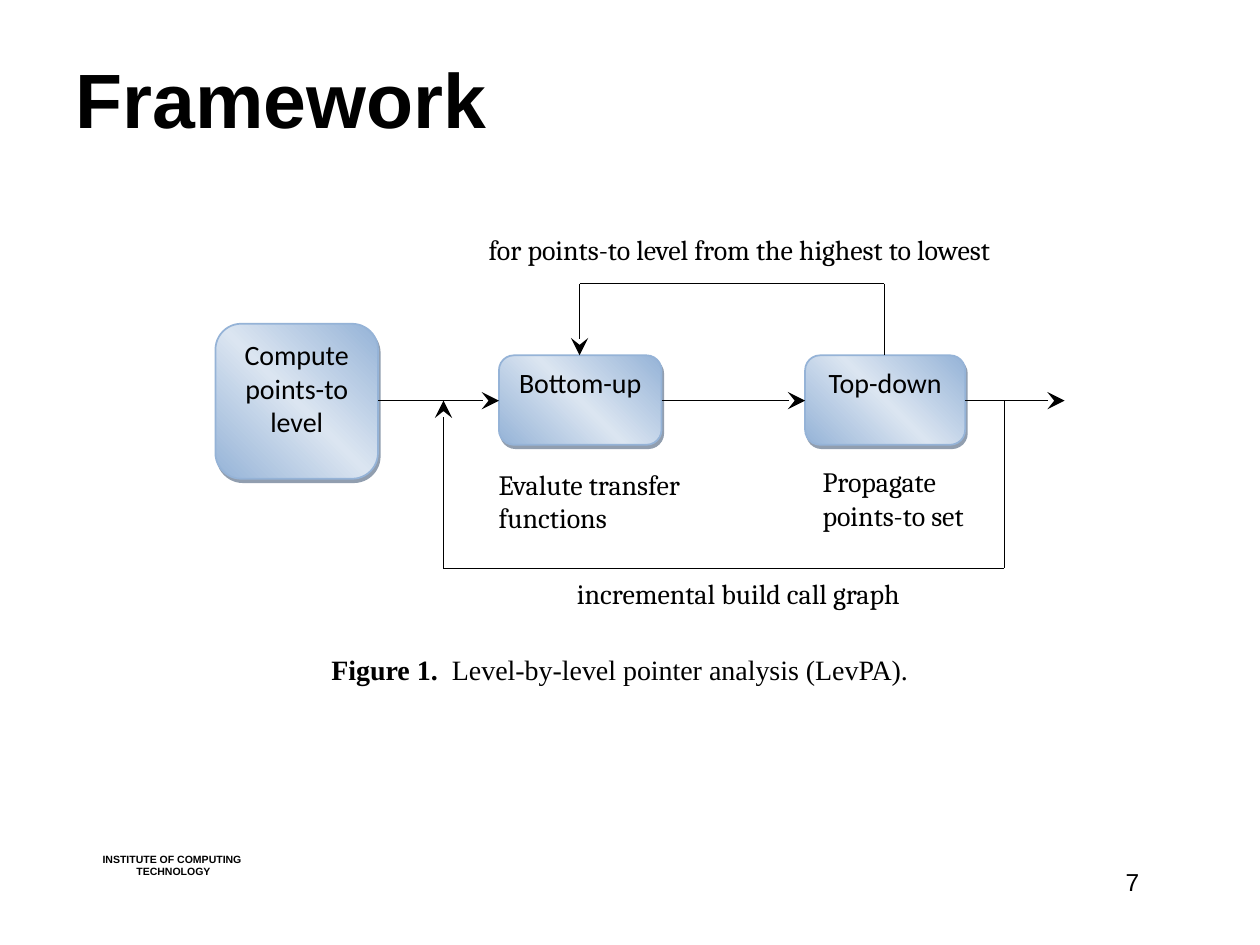
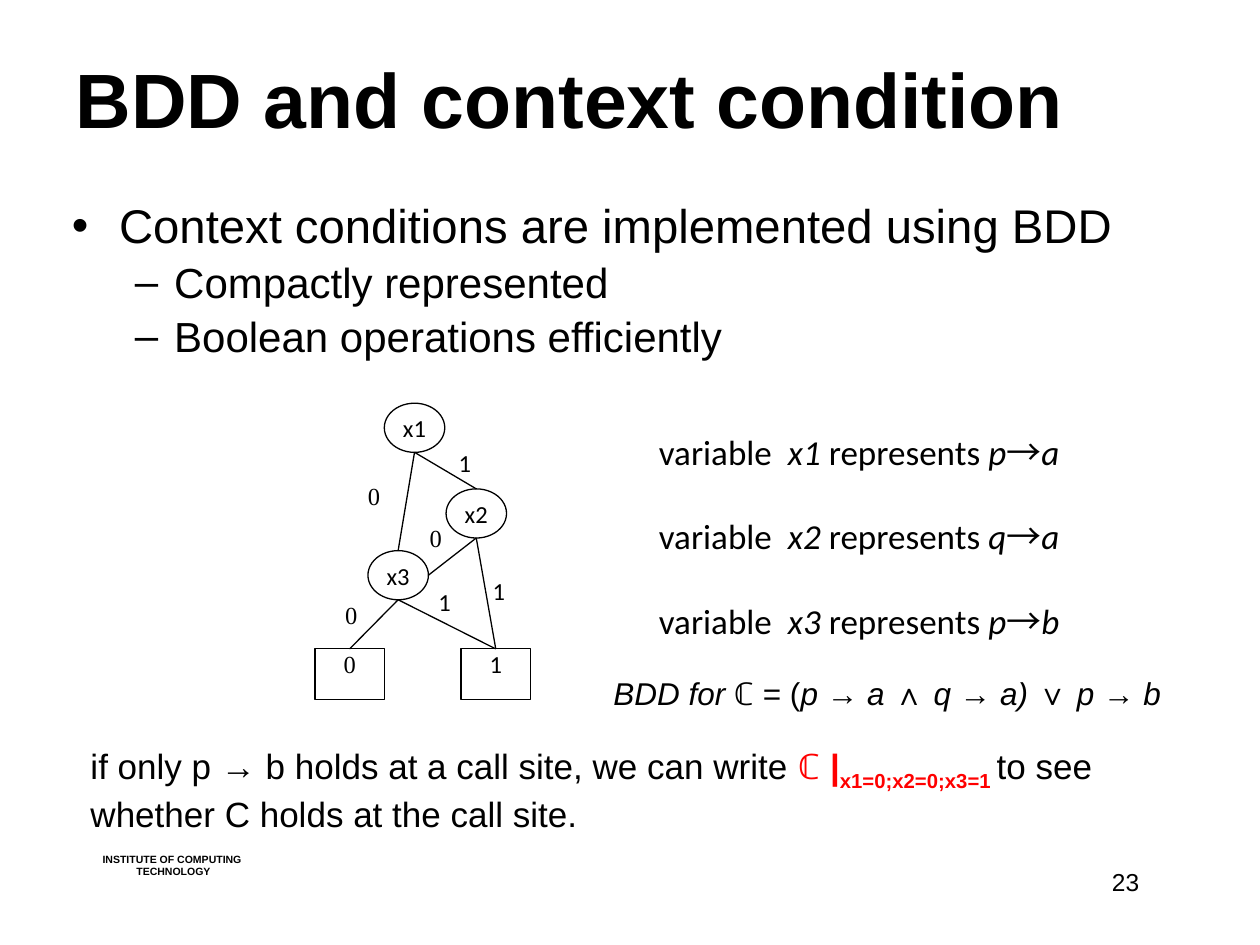
from copy import deepcopy

from lxml import etree
from pptx import Presentation
from pptx.dml.color import RGBColor
from pptx.enum import shapes, text
from pptx.oxml import ns
from pptx.util import Inches, Pt

BLACK = RGBColor(0x00, 0x00, 0x00)
WHITE = RGBColor(0xFF, 0xFF, 0xFF)
RED = RGBColor(0xFF, 0x00, 0x00)
BLUE = RGBColor(0x95, 0xB3, 0xD7)
PALE_BLUE = RGBColor(0xDB, 0xE5, 0xF1)
SHADOW = RGBColor(0x24, 0x3F, 0x60)

SANS, LABEL, CAPTION, SERIF = "Arial", "Calibri", "Cambria", "Times New Roman"
SYMBOL = "Noto Sans CJK SC"
LEFT, CENTER, RIGHT, JUSTIFY = (
    text.PP_ALIGN.LEFT, text.PP_ALIGN.CENTER, text.PP_ALIGN.RIGHT, text.PP_ALIGN.JUSTIFY)
SHAPE = shapes.MSO_SHAPE
THIN = 0.75


def add_element(parent, tag, **attributes):
    """Append a DrawingML element to parent and return it."""
    element = etree.SubElement(parent, ns.qn(tag))
    for name, value in attributes.items():
        element.set(name, str(value))
    return element


def add_span(para, words, font, size, bold=False, italic=False, colour=BLACK):
    """Add one formatted run to a paragraph."""
    span = para.add_run()
    span.text = words
    span.font.name, span.font.size = font, Pt(size)
    span.font.bold, span.font.italic = bold, italic
    span.font.color.rgb = colour
    return span


def set_insets(frame, horizontal, vertical):
    """Set the inner margins of a text frame in inches."""
    frame.margin_left = frame.margin_right = Inches(horizontal)
    frame.margin_top = frame.margin_bottom = Inches(vertical)


def place(item, left, top, width, height):
    """Move and size a shape, in inches."""
    item.left, item.top = Inches(left), Inches(top)
    item.width, item.height = Inches(width), Inches(height)


def add_text(page, area, align=LEFT, insets=(0.1, 0.05), wrap=True):
    """Add an empty text box and return its first paragraph."""
    frame = page.shapes.add_textbox(*map(Inches, area)).text_frame
    frame.word_wrap = wrap
    set_insets(frame, *insets)
    frame.paragraphs[0].alignment = align
    return frame.paragraphs[0]


def add_shape(page, kind, area, words, font, size, insets, anchor):
    """Add an outlined preset shape with centred text."""
    shape = page.shapes.add_shape(kind, *map(Inches, area))
    shape.shadow.inherit = False
    shape.fill.solid()
    shape.fill.fore_color.rgb = WHITE
    shape.line.color.rgb = BLACK
    shape.line.width = Pt(THIN)
    frame = shape.text_frame
    frame.word_wrap = True
    frame.vertical_anchor = anchor
    set_insets(frame, *insets)
    frame.paragraphs[0].alignment = CENTER
    add_span(frame.paragraphs[0], words, font, size)
    return shape


def add_stage(page, area, words):
    """Add a rounded stage box with a diagonal gradient and a hard shadow."""
    stage = add_shape(page, SHAPE.FLOWCHART_ALTERNATE_PROCESS, area, words, LABEL, 16,
                      (0, 0.05), text.MSO_ANCHOR.TOP)
    stage.line.color.rgb = BLUE
    stage.line.width = Pt(1)
    stage.fill.gradient()
    stage.fill.gradient_angle = 45
    properties = stage._element.spPr
    stop_list = properties.find(".//" + ns.qn("a:gsLst"))
    stop_list.append(deepcopy(stop_list[0]))
    colours = (BLUE, PALE_BLUE, BLUE)
    for index, (stop, colour) in enumerate(zip(stage.fill.gradient_stops, colours)):
        stop.position = index / 2
        stop.color.rgb = colour
    shadow = add_element(properties.find(ns.qn("a:effectLst")), "a:outerShdw",
                         dist=Pt(2.2), dir=63 * 60000, algn="ctr", rotWithShape=0)
    add_element(add_element(shadow, "a:srgbClr", val=SHADOW), "a:alpha", val=50000)


def add_route(page, *points, arrow=False):
    """Join points by straight lines, with an arrowhead at the last if asked."""
    for start, end in zip(points, points[1:]):
        line = page.shapes.add_connector(
            shapes.MSO_CONNECTOR.STRAIGHT, *map(Inches, start + end))
        line.line.color.rgb = BLACK
        line.line.width = Pt(THIN)
        add_element(line._element.spPr, "a:effectLst")
    if arrow:
        add_element(line.line._get_or_add_ln(), "a:tailEnd", type="stealth", w="lg", len="lg")


def add_page(deck, layout, title, number):
    """Add a slide with the shared title style, footer and number."""
    page = deck.slides.add_slide(deck.slide_layouts[layout])
    heading = page.shapes.title
    place(heading, 0.5, 0.3, 9, 0.95)
    heading.text_frame.vertical_anchor = text.MSO_ANCHOR.MIDDLE
    para = heading.text_frame.paragraphs[0]
    para.alignment = LEFT
    add_span(para, title, SANS, 44, bold=True)

    footer = add_text(page, (0.7, 6.72, 1.33, 0.3), CENTER)
    add_span(footer, "INSTITUTE OF COMPUTING", SANS, 6, bold=True)
    footer.line_spacing = 1.0
    second = page.shapes[-1].text_frame.add_paragraph()
    second.alignment = CENTER
    add_span(second, " TECHNOLOGY", SANS, 6, bold=True)
    add_span(add_text(page, (7.17, 6.83, 1.97, 0.52), RIGHT), str(number), SANS, 14)
    return page


def build_framework(deck):
    """Build the slide with the analysis loop."""
    page = add_page(deck, 5, "Framework", 7)
    for area, words in (
            ((1.71, 2.57, 1.29, 1.23), "Compute points-to level"),
            ((3.96, 2.82, 1.29, 0.71), "Bottom-up"),
            ((6.39, 2.82, 1.27, 0.71), "Top-down")):
        add_stage(page, area, words)

    flow = 3.18
    for start, end in ((3, 3.96), (5.25, 6.39), (7.66, 8.45)):
        add_route(page, (start, flow), (end, flow), arrow=True)
    add_route(page, (7.02, 2.82), (7.02, 2.25), (4.6, 2.25), (4.6, 2.82), arrow=True)
    add_route(page, (7.97, flow), (7.97, 4.51), (3.52, 4.51), (3.52, flow), arrow=True)

    for area, align, words in (
            ((3.28, 1.8, 5, 0.27), JUSTIFY, "for points-to level from the highest to lowest"),
            ((3.36, 3.66, 2.89, 0.72), LEFT, "Evalute transfer functions"),
            ((5.93, 3.64, 2.12, 0.65), JUSTIFY, "Propagate points-to set"),
            ((3.98, 4.53, 3.59, 0.31), JUSTIFY, "incremental build call graph")):
        para = add_text(page, area, align)
        para._p.get_or_add_pPr().set("marL", str(Inches(0.5)))
        add_span(para, words, CAPTION, 16)

    caption = add_text(page, (1.56, 5.23, 6.72, 0.22), CENTER, (0, 0))
    caption.line_spacing = 0.8
    caption.space_before = Pt(1)
    add_span(caption, "Figure 1.\u2002", SERIF, 16, bold=True)
    add_span(caption, "Level-by-level pointer analysis (LevPA).", SERIF, 16)


def add_bullets(page):
    """Fill the body placeholder with the list."""
    body = page.placeholders[1]
    place(body, 0.47, 1.56, 9, 1.48)
    frame = body.text_frame
    for index, (level, size, words) in enumerate((
            (0, 27, "Context conditions are implemented using BDD"),
            (1, 24, "Compactly represented "),
            (1, 24, "Boolean operations efficiently"))):
        para = frame.add_paragraph() if index else frame.paragraphs[0]
        para.level = level
        para.line_spacing = 0.9
        add_span(para, words, SANS, size)


def add_decision_diagram(page):
    """Draw the BDD: edges, nodes, leaves and edge labels."""
    width, height = 0.48, 0.39
    nodes = {"x1": (3.05, 3.2), "x2": (3.54, 3.88), "x3": (2.92, 4.37)}
    leaves = {"0": (2.5, SERIF), "1": (3.66, LABEL)}
    leaf_top, leaf_width = 5.15, 0.55
    for name, (left, top) in nodes.items():
        add_shape(page, SHAPE.OVAL, (left, top, width, height), name, LABEL, 14,
                  (0, 0), text.MSO_ANCHOR.MIDDLE)
    for name, (left, font) in leaves.items():
        add_shape(page, SHAPE.RECTANGLE, (left, leaf_top, leaf_width, 0.4), name, font, 14,
                  (0, 0), text.MSO_ANCHOR.TOP)

    tops = {name: (left + width / 2, top) for name, (left, top) in nodes.items()}
    for name, (left, font) in leaves.items():
        tops[name] = (left + leaf_width / 2, leaf_top)
    right_of_x3 = (nodes["x3"][0] + width, nodes["x3"][1] + height / 2)
    for parent, end in (("x1", tops["x2"]), ("x1", tops["x3"]), ("x2", right_of_x3),
                        ("x2", tops["1"]), ("x3", tops["0"]), ("x3", tops["1"])):
        across, down = tops[parent]
        add_route(page, (across, down + height), end)

    for words, area in (
            ("0", (2.92, 3.82, 0.37, 0.33)), ("1", (3.64, 3.56, 0.48, 0.26)),
            ("0", (3.41, 4.15, 0.38, 0.26)), ("1", (3.91, 4.57, 0.31, 0.36)),
            ("1", (3.48, 4.66, 0.43, 0.27)), ("0", (2.74, 4.76, 0.5, 0.4))):
        add_span(add_text(page, area, JUSTIFY, (0, 0)), words, leaves[words][1], 14)


def add_variables(page):
    """List what each variable of the diagram stands for."""
    first = add_text(page, (5.23, 3.42, 3.67, 1.78), JUSTIFY, (0, 0))
    frame = page.shapes[-1].text_frame
    for index, (name, source, target) in enumerate((
            ("x1", "p", "a"), ("x2", "q", "a"), ("x3", "p", "b"))):
        para = frame.add_paragraph() if index else first
        para.alignment = JUSTIFY
        para.line_spacing = Pt(24)
        para.space_before = Pt(24 if index else 0)
        add_span(para, "variable  ", LABEL, 20)
        add_span(para, name, LABEL, 20, italic=True)
        add_span(para, " represents ", LABEL, 20)
        add_span(para, source, LABEL, 20, italic=True)
        arrow = add_span(para, "→", SYMBOL, 20)
        add_element(arrow._r.get_or_add_rPr(), "a:ea", typeface=SYMBOL)
        add_span(para, target, LABEL, 20, italic=True)


def build_conditions(deck):
    """Build the slide on context conditions."""
    page = add_page(deck, 1, "BDD and context condition", 23)
    add_bullets(page)
    add_decision_diagram(page)
    add_variables(page)

    formula = add_text(page, (4.77, 5.3, 4.58, 0.4), wrap=False)
    add_span(formula, "BDD for ", SANS, 18, italic=True)
    add_span(formula, "ℂ = (", SANS, 18)
    add_span(formula, "p → a ∧ q → a) ∨ p → b", SANS, 18, italic=True)

    remark = add_text(page, (0.62, 5.88, 9.14, 0.77))
    page.shapes[-1].text_frame.vertical_anchor = text.MSO_ANCHOR.MIDDLE
    add_span(remark, "if only p → b holds at a call site, we can write ", SANS, 20)
    add_span(remark, "ℂ |", SANS, 20, bold=True, colour=RED)
    index = add_span(remark, "x1=0;x2=0;x3=1 ", SANS, 20, bold=True, colour=RED)
    index._r.get_or_add_rPr().set("baseline", "-25000")
    add_span(remark, "to see whether C holds at the call site.", SANS, 20)


def main():
    """Build the deck and save it."""
    deck = Presentation()
    deck.slide_width, deck.slide_height = Inches(10), Inches(7.5)
    build_framework(deck)
    build_conditions(deck)
    deck.save("out.pptx")


main()
